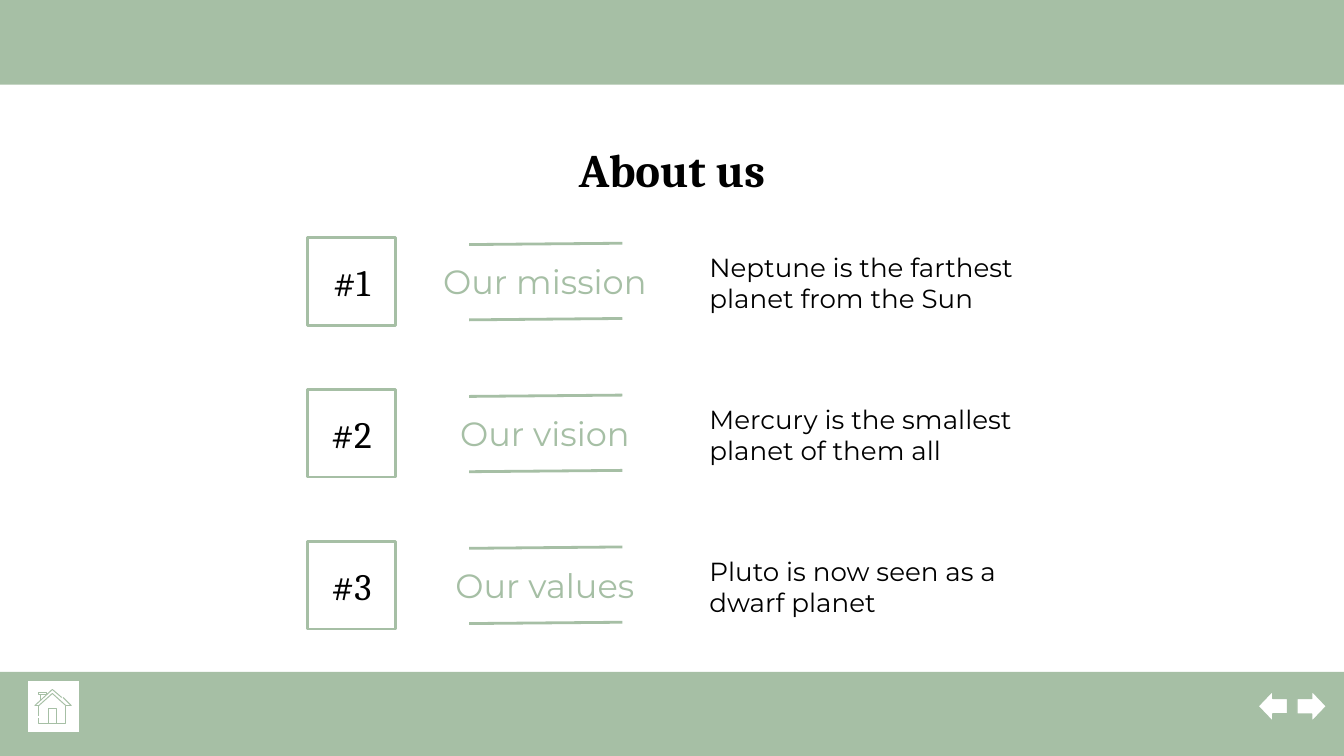
from dataclasses import dataclass

from lxml import etree
from pptx import Presentation
from pptx.dml.color import RGBColor
from pptx.enum.shapes import MSO_CONNECTOR as Connector, MSO_SHAPE as Shape
from pptx.enum.text import MSO_ANCHOR as Anchor, PP_ALIGN as Align
from pptx.oxml.ns import qn
from pptx.util import Inches, Pt


@dataclass(frozen=True)
class Theme:
    green = RGBColor(0xA6, 0xBF, 0xA5)
    white = RGBColor(0xFF, 0xFF, 0xFF)
    black = RGBColor(0, 0, 0)
    serif = "Cambria"
    sans = "Montserrat"
    title = 25
    number = 20
    heading = 18
    body = 14


theme = Theme()
deck = Presentation()
deck.slide_width = Inches(10)
deck.slide_height = Inches(10 * 9 / 16)
page = deck.slides.add_slide(deck.slide_layouts[6])


def write(box, text, *, size, font, color=theme.black, bold=False,
          align=Align.CENTER, anchor=Anchor.TOP):
    frame = box.text_frame
    frame.word_wrap = True
    frame.vertical_anchor = anchor
    frame.margin_left = frame.margin_right = Inches(0.1)
    frame.margin_top = frame.margin_bottom = Inches(0.1)
    para = frame.paragraphs[0]
    para.alignment = align
    span = para.add_run()
    span.text = text
    span.font.size, span.font.name, span.font.bold = Pt(size), font, bold
    span.font.color.rgb = color


def add_block(kind, left, top, width, height, fill=theme.white, line=None):
    block = page.shapes.add_shape(
        kind, Inches(left), Inches(top), Inches(width), Inches(height))
    block.shadow.inherit = False
    block.fill.solid()
    block.fill.fore_color.rgb = fill
    if line:
        block.line.color.rgb = theme.green
        block.line.width = Pt(line)
    else:
        block.line.fill.background()
    return block


# Bands at the top and bottom
for top in (-0.02, 5):
    add_block(Shape.RECTANGLE, 0, top, 10.02, 0.65, fill=theme.green)

# Title
title = page.shapes.add_textbox(Inches(0.78), Inches(0.95), Inches(8.44), Inches(0.6))
write(title, "About us", size=theme.title, font=theme.serif, bold=True)

# Numbered rows
rows = [
    ("Our mission", "Neptune is the farthest planet from the Sun"),
    ("Our vision", "Mercury is the smallest planet of them all"),
    ("Our values", "Pluto is now seen as a dwarf planet"),
]
for index, (heading, body) in enumerate(rows):
    top = 1.77 + 1.13 * index

    number = add_block(Shape.RECTANGLE, 2.29, top, 0.65, 0.65, line=1.5)
    write(number, f"#{index + 1}", size=theme.number, font=theme.serif,
          anchor=Anchor.MIDDLE)

    label = page.shapes.add_textbox(
        Inches(3.04), Inches(top + 0.08), Inches(2.03), Inches(0.49))
    write(label, heading, size=theme.heading, font=theme.sans,
          color=theme.green, anchor=Anchor.BOTTOM)

    detail = page.shapes.add_textbox(
        Inches(5.18), Inches(top), Inches(2.53), Inches(0.65))
    write(detail, body, size=theme.body, font=theme.sans, align=Align.LEFT)

    # Rules above and below the heading, rising slightly to the right
    for offset in (0.04, 0.6):
        rule = page.shapes.add_connector(
            Connector.STRAIGHT, Inches(3.49), Inches(top + offset + 0.01),
            Inches(4.63), Inches(top + offset))
        rule.line.color.rgb = theme.green
        rule.line.width = Pt(1.5)
        etree.SubElement(rule.element.spPr, qn("a:effectLst"))

# Back and forward arrows
for left, turn in ((9.36, 0), (9.65, 180)):
    arrow = add_block(Shape.LEFT_ARROW, left, 5.14, 0.22, 0.23, line=0.75)
    arrow.rotation = turn

# Home button
add_block(Shape.RECTANGLE, 0.2, 5.06, 0.39, 0.39, line=0.75)

# House icon: roof, walls, door, chimney and chimney cap
strokes = [
    [(0.47, 5.19), (0.53, 5.25), (0.49, 5.25), (0.39, 5.16), (0.29, 5.25),
     (0.26, 5.25), (0.39, 5.13), (0.46, 5.19)],
    [(0.49, 5.25), (0.49, 5.38), (0.29, 5.38), (0.29, 5.34)],
    [(0.29, 5.25), (0.29, 5.33)],
    [(0.36, 5.38), (0.36, 5.27), (0.42, 5.27), (0.42, 5.38)],
    [(0.3, 5.21), (0.3, 5.17), (0.34, 5.17)],
    [(0.35, 5.17), (0.35, 5.15), (0.29, 5.15), (0.29, 5.17), (0.34, 5.17)],
]
house = None
for stroke in strokes:
    points = [(Inches(x), Inches(y)) for x, y in stroke]
    if house is None:
        house = page.shapes.build_freeform(*points[0])
    else:
        house.move_to(*points[0])
    house.add_line_segments(points[1:], close=False)
icon = house.convert_to_shape()
icon.shadow.inherit = False
icon.fill.background()
icon.line.color.rgb = theme.green
icon.line.width = Pt(0.5)

deck.save("out.pptx")
